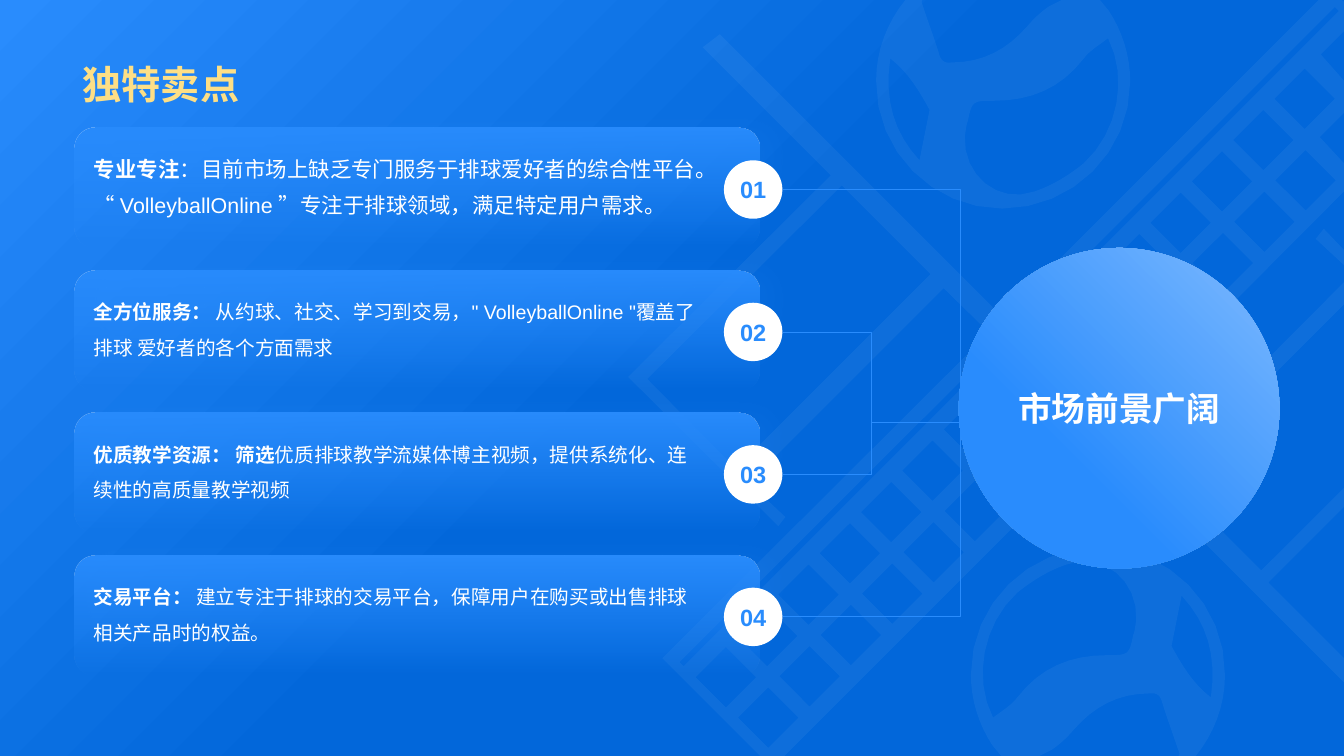
from lxml import etree
from pptx import Presentation
from pptx import util as u
from pptx.dml.color import RGBColor
from pptx.enum import shapes, text
from pptx.oxml import ns

BLUE, DEEP, PALE, WHITE, GOLD = "298CFD", "0267DA", "7FBAFE", "FFFFFF", "FDDF86"

# Court artwork: a contour holds points (x, y) and Bezier curves (x1, y1, x2, y2, x, y)
COURT = [
    (13.08, 0), (13.31, 0), (13.33, 0.02), (13.33, 0.31), (13.1, 0.54), (13.33, 0.8),
    (13.33, 1.12), (13.09, 1.36), (13.33, 1.62), (13.33, 1.9), (11.04, 4.2), (11.49, 4.65),
    (13.33, 2.8), (13.33, 3.02), (11.6, 4.75), (12.51, 5.66), (13.33, 4.84), (13.33, 5.03),
    (12.58, 5.78), (13.33, 6.53), (13.33, 6.77), (10.92, 4.36), (7.78, 7.5), (7.54, 7.5),
    (6.57, 6.53), (9.81, 3.3), (9.36, 2.86), (7.43, 4.79), (7.79, 5.13), (7.72, 5.22),
    (6.23, 3.74), (8.24, 1.74), (6.97, 0.47), (7.14, 0.34), (9.94, 3.14)]
COURT_DETAILS = [
    [(8.35, 1.84), (6.42, 3.76), (7.3, 4.65), (9.23, 2.72)],
    [(13.24, 0.07), (6.74, 6.57), (6.78, 6.61), (13.28, 0.11)],
    [(13.13, 2.27), (13.33, 2.48), (13.33, 2.63), (13.05, 2.37)]]
BALL = [
    [(8.98, 0), (9.15, 0), (9.14, 0.02), (9.2, 0.2, 9.26, 0.36, 9.31, 0.52),
     (9.33, 0.6, 9.36, 0.63, 9.44, 0.62), (9.75, 0.62, 9.99, 0.49, 10.19, 0.26),
     (10.25, 0.19, 10.32, 0.12, 10.41, 0.06), (10.53, 0), (10.91, 0), (11, 0.11),
     (11.13, 0.31, 11.21, 0.55, 11.21, 0.81), (11.21, 1.51, 10.64, 2.07, 9.94, 2.07),
     (9.25, 2.07, 8.68, 1.5, 8.69, 0.8), (8.69, 0.5, 8.8, 0.22, 8.98, 0)],
    [(8.83, 0.58), (8.77, 1, 8.87, 1.32, 9.12, 1.59), (9.15, 1.44, 9.18, 1.29, 9.21, 1.14),
     (9.22, 1.09), (9.12, 0.91, 9.02, 0.73, 8.83, 0.58)],
    [(10.99, 0.38), (10.9, 0.45, 10.81, 0.5, 10.75, 0.58), (10.52, 0.88, 10.22, 1, 9.86, 1),
     (9.65, 1, 9.64, 1, 9.6, 1.2), (9.58, 1.25, 9.58, 1.3, 9.57, 1.35),
     (9.55, 1.74, 9.9, 2.03, 10.26, 1.9), (10.44, 1.84, 10.6, 1.74, 10.75, 1.62),
     (11.09, 1.31, 11.19, 0.77, 10.99, 0.38)]]

# Selling points: font size, line spacing, bold lead, text
POINTS = [
    (15.3, 1.4, "专业专注", "：目前市场上缺乏专门服务于排球爱好者的综合性平台。“ VolleyballOnline ”专注于排球领域，满足特定用户需求。"),
    (14, 1.5, "全方位服务： ", "从约球、社交、学习到交易，\" VolleyballOnline \"覆盖了排球 爱好者的各个方面需求"),
    (14, 1.5, "优质教学资源： 筛选", "优质排球教学流媒体博主视频，提供系统化、连续性的高质量教学视频"),
    (14, 1.5, "交易平台： ", "建立专注于排球的交易平台，保障用户在购买或出售排球相关产品时的权益。")]


def color(code):
    return RGBColor.from_string(code)


def set_alpha(element, percent):
    """Make the first colour inside the element transparent."""
    rgb = next(element.iter(ns.qn("a:srgbClr")))
    etree.SubElement(rgb, ns.qn("a:alpha"), val=str(percent * 1000))


def reflect(contour):
    """Turn a contour by half a turn about the centre between both balls."""
    return [tuple((7.5 if i % 2 else 20.84) - v for i, v in enumerate(point)) for point in contour]


def net_holes():
    """Two diagonal rows of diamond holes."""
    half, step = 0.3, 0.41
    for left, top, count in ((7.62, 7.12, 14), (7.2, 6.72, 15)):
        for i in range(count):
            x, y = left + step * i, top - step * i
            yield [(x, y - half), (x - half, y), (x, y + half), (x + half, y)]


def flatten(contour, steps=8):
    """Turn points and curves into a plain list of points."""
    points = [contour[0]]
    for part in contour[1:]:
        if len(part) == 2:
            points.append(part)
            continue
        x0, y0 = points[-1]
        x1, y1, x2, y2, x3, y3 = part
        for n in range(1, steps + 1):
            t = n / steps
            a, b, c, d = (1 - t) ** 3, 3 * t * (1 - t) ** 2, 3 * t * t * (1 - t), t ** 3
            points.append((a * x0 + b * x1 + c * x2 + d * x3, a * y0 + b * y1 + c * y2 + d * y3))
    return [(u.Inches(x), u.Inches(y)) for x, y in points]


class Painter:
    font = "Arial"

    def __init__(self, page):
        self.page = page

    def gradient(self, fill, first, last, angle):
        """Two stops (position, colour); the angle runs clockwise."""
        fill.gradient()
        fill.gradient_angle = (360 - angle) % 360
        for stop, (position, code) in zip(fill.gradient_stops, (first, last)):
            stop.position = position
            stop.color.rgb = color(code)

    def add_span(self, para, words, size, code, bold):
        span = para.add_run()
        span.text = words
        span.font.name, span.font.size, span.font.bold = self.font, u.Pt(size), bold
        span.font.color.rgb = color(code)

    def title(self, words):
        box = self.page.shapes.title
        box.left, box.top, box.width, box.height = map(u.Inches, (0.72, 0.14, 11.88, 0.98))
        box.text_frame.vertical_anchor = text.MSO_ANCHOR.BOTTOM
        para = box.text_frame.paragraphs[0]
        para.alignment = text.PP_ALIGN.LEFT
        self.add_span(para, words, 28, GOLD, True)

    def artwork(self, contours):
        first, *others = map(flatten, contours)
        builder = self.page.shapes.build_freeform(*first[0])
        builder.add_line_segments(first[1:])
        for points in others:
            builder.move_to(*points[0])
            builder.add_line_segments(points[1:])
        shape = builder.convert_to_shape()
        shape.shadow.inherit = False
        shape.line.fill.background()
        shape.fill.solid()
        shape.fill.fore_color.rgb = color(WHITE)
        set_alpha(shape._element.spPr, 5)
        self.page.shapes._spTree.insert(2, shape._element)

    def rounded(self, x, y, width, height, radius):
        shape = self.page.shapes.add_shape(
            shapes.MSO_SHAPE.ROUNDED_RECTANGLE, *map(u.Inches, (x, y, width, height)))
        shape.adjustments[0] = radius
        shape.shadow.inherit = False
        shape.line.fill.background()
        return shape

    def label(self, shape, words, size, code, wrap=True):
        frame = shape.text_frame
        frame.word_wrap = wrap
        frame.vertical_anchor = text.MSO_ANCHOR.MIDDLE
        frame.paragraphs[0].alignment = text.PP_ALIGN.CENTER
        self.add_span(frame.paragraphs[0], words, size, code, True)

    def card(self, y):
        shape = self.rounded(0.74, y, 6.79, 1.19, 0.175)
        self.gradient(shape.fill, (0, BLUE), (1, BLUE), 270)
        set_alpha(shape._element.spPr, 0)
        effects = shape._element.spPr.find(ns.qn("a:effectLst"))
        shadow = etree.SubElement(effects, ns.qn("a:outerShdw"), blurRad=str(u.Pt(20)),
                                  dist=str(u.Pt(10)), dir="0", algn="ctr", rotWithShape="0")
        etree.SubElement(shadow, ns.qn("a:srgbClr"), val=BLUE)
        set_alpha(shadow, 15)

    def badge(self, y, words):
        shape = self.rounded(7.18, y, 0.58, 0.58, 0.5)
        shape.fill.solid()
        shape.fill.fore_color.rgb = color(WHITE)
        self.label(shape, words, 16.8, BLUE, wrap=False)

    def hub(self, words):
        shape = self.rounded(9.51, 2.46, 3.18, 3.18, 0.5)
        shape._element.spPr.xfrm.set("flipH", "1")
        self.gradient(shape.fill, (0, PALE), (0.66, BLUE), 45)
        self.label(shape, words, 24, WHITE)

    def point(self, y, size, spacing, lead, words):
        box = self.page.shapes.add_textbox(*map(u.Inches, (0.83, y, 6.2, 0.96)))
        box.text_frame.word_wrap = True
        para = box.text_frame.paragraphs[0]
        para.line_spacing = spacing
        self.add_span(para, lead, size, WHITE, True)
        self.add_span(para, words, size, WHITE, False)

    def link(self, y, preset):
        line = self.page.shapes.add_connector(
            shapes.MSO_CONNECTOR.ELBOW, *map(u.Inches, (7.77, y, 9.52, 4.19)))
        line.line.color.rgb, line.line.width = color(BLUE), u.Pt(0.5)
        properties = line._element.spPr
        properties.find(ns.qn("a:prstGeom")).set("prst", preset)
        etree.SubElement(properties, ns.qn("a:effectLst"))


def main():
    deck = Presentation()
    deck.slide_width, deck.slide_height = u.Inches(13.33), u.Inches(7.5)
    page = deck.slides.add_slide(deck.slide_layouts[5])
    painter = Painter(page)

    # Background and title
    painter.gradient(page.background.fill, (0, BLUE), (0.49, DEEP), 45)
    painter.artwork([COURT, *COURT_DETAILS, *net_holes(), *BALL, *map(reflect, BALL)])
    painter.title("独特卖点")

    # Hub and selling points
    painter.hub("市场前景广阔")
    tops = [1.27 + 4.24 / 3 * i for i in range(len(POINTS))]
    for number, (top, point) in enumerate(zip(tops, POINTS), 1):
        painter.card(top)
        painter.point(top + 0.13, *point)
        painter.badge(top + 0.32, f"{number:02}")

    # Links from badges to the hub
    for top, bends in zip(tops, (2, 3, 3, 2)):
        painter.link(top + 0.61, f"bentConnector{bends}")

    deck.save("out.pptx")


if __name__ == "__main__":
    main()
